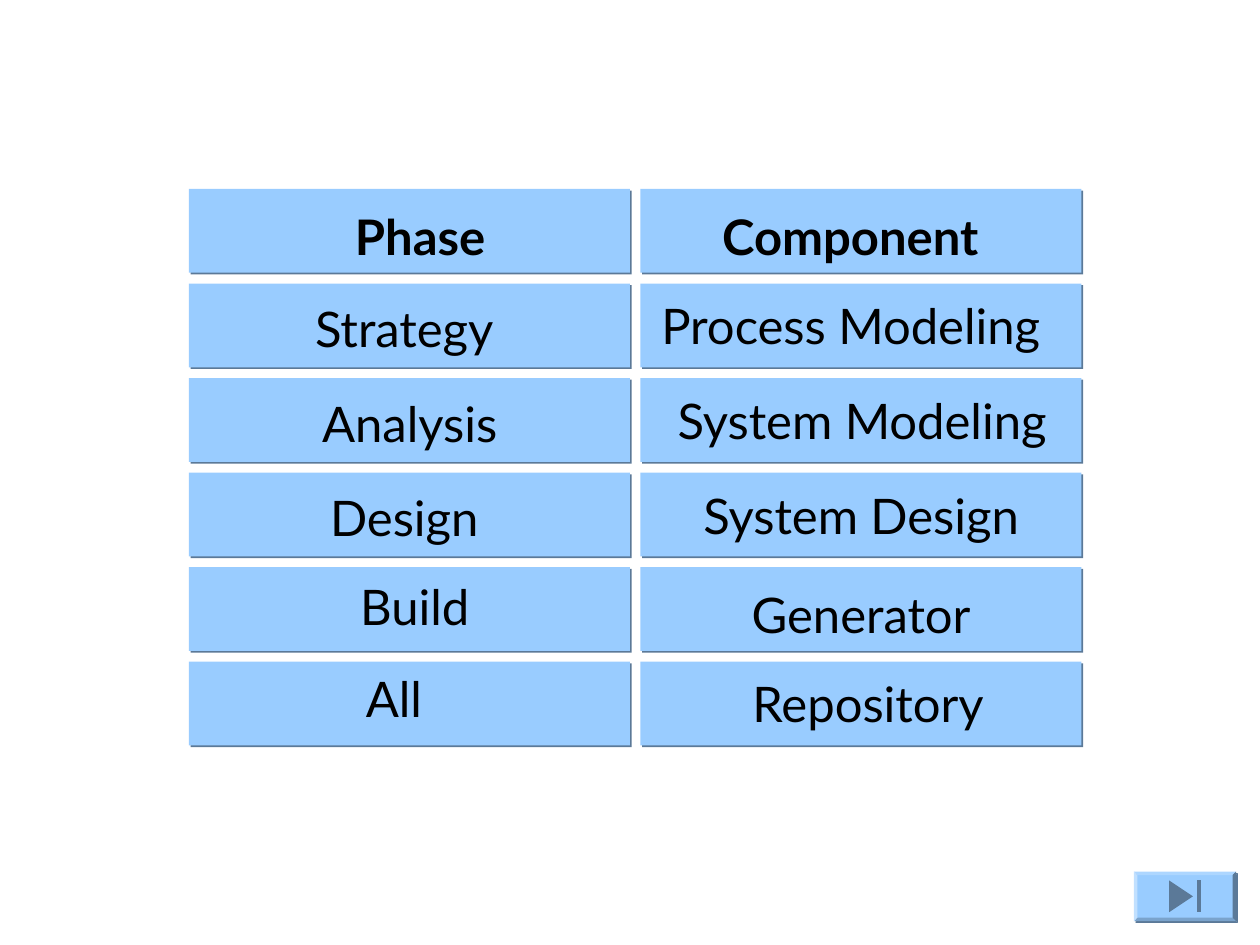
from lxml import etree
from pptx import Presentation
from pptx.dml.color import RGBColor
from pptx.enum import shapes as kinds, text
from pptx.oxml import ns
from pptx.util import Cm, Pt

COLORS = {"panel": "99CCFF", "shade": "5B7998", "text": "000000"}
FONT = "Lato"

# Each label: wording, then the centre of its text in cm
ROWS = [
    (("Phase", 8.47, 4.76), ("Component", 17.14, 4.76)),
    (("Strategy", 8.15, 6.62), ("Process Modeling", 17.15, 6.56)),
    (("Analysis", 8.26, 8.52), ("System Modeling", 17.38, 8.47)),
    (("Design", 8.15, 10.43), ("System Design", 17.36, 10.38)),
    (("Build", 8.36, 12.22), ("Generator", 17.36, 12.38)),
    (("All", 7.94, 14.07), ("Repository", 17.5, 14.18)),
]
LABEL_WIDTH, LABEL_HEIGHT = 8.3, 1.44
GRID_LEFT, GRID_TOP, GRID_BOTTOM = 3.81, 3.81, 15.03
CELL_WIDTH, CELL_HEIGHT, COLUMN_STEP = 8.89, 1.69, 9.1
ROW_STEP = (GRID_BOTTOM - GRID_TOP - CELL_HEIGHT) / (len(ROWS) - 1)

# Button outline and its icon, in cm
BUTTON = (22.86, 17.57, 2.06, 1.0)
ICON = [
    [(23.57, 17.75), (24.05, 18.07), (23.57, 18.39)],
    [(24.13, 17.75), (24.21, 17.75), (24.21, 18.39), (24.13, 18.39)],
]


def paint(shape, color):
    shape.shadow.inherit = False
    shape.fill.solid()
    shape.fill.fore_color.rgb = RGBColor.from_string(COLORS[color])
    shape.line.fill.background()


def add_panel(slide, kind, box):
    shape = slide.shapes.add_shape(kind, *map(Cm, box))
    paint(shape, "panel")
    effects = shape._element.spPr.find(ns.qn("a:effectLst"))
    shadow = etree.SubElement(effects, ns.qn("a:outerShdw"), dist=str(Pt(1.4)),
                              dir="2700000", algn="ctr", rotWithShape="0")
    etree.SubElement(shadow, ns.qn("a:srgbClr"), val=COLORS["shade"])
    return shape


def add_label(slide, wording, x, y, bold):
    box = (x - LABEL_WIDTH / 2, y - LABEL_HEIGHT / 2, LABEL_WIDTH, LABEL_HEIGHT)
    frame = slide.shapes.add_textbox(*map(Cm, box)).text_frame
    frame.word_wrap = True
    frame.vertical_anchor = text.MSO_ANCHOR.MIDDLE
    frame.text = wording
    paragraph = frame.paragraphs[0]
    paragraph.alignment = text.PP_ALIGN.CENTER
    font = paragraph.runs[0].font
    font.name, font.size, font.bold = FONT, Pt(28), bold
    font.color.rgb = RGBColor.from_string(COLORS["text"])


def main():
    presentation = Presentation()
    presentation.slide_width, presentation.slide_height = Cm(25.4), Cm(19.05)
    slide = presentation.slides.add_slide(presentation.slide_layouts[6])

    # Grid of panels with their labels
    for row, labels in enumerate(ROWS):
        for column, (wording, x, y) in enumerate(labels):
            cell = (GRID_LEFT + column * COLUMN_STEP, GRID_TOP + row * ROW_STEP,
                    CELL_WIDTH, CELL_HEIGHT)
            add_panel(slide, kinds.MSO_SHAPE.RECTANGLE, cell)
            add_label(slide, wording, x, y, bold=row == 0)

    # Button that jumps to the end
    button = add_panel(slide, kinds.MSO_SHAPE.BEVEL, BUTTON)
    button.adjustments[0] = 0.07
    for outline in ICON:
        start, *rest = [(Cm(x), Cm(y)) for x, y in outline]
        builder = slide.shapes.build_freeform(*start)
        builder.add_line_segments(rest, close=True)
        paint(builder.convert_to_shape(), "shade")

    presentation.save("out.pptx")


if __name__ == "__main__":
    main()
